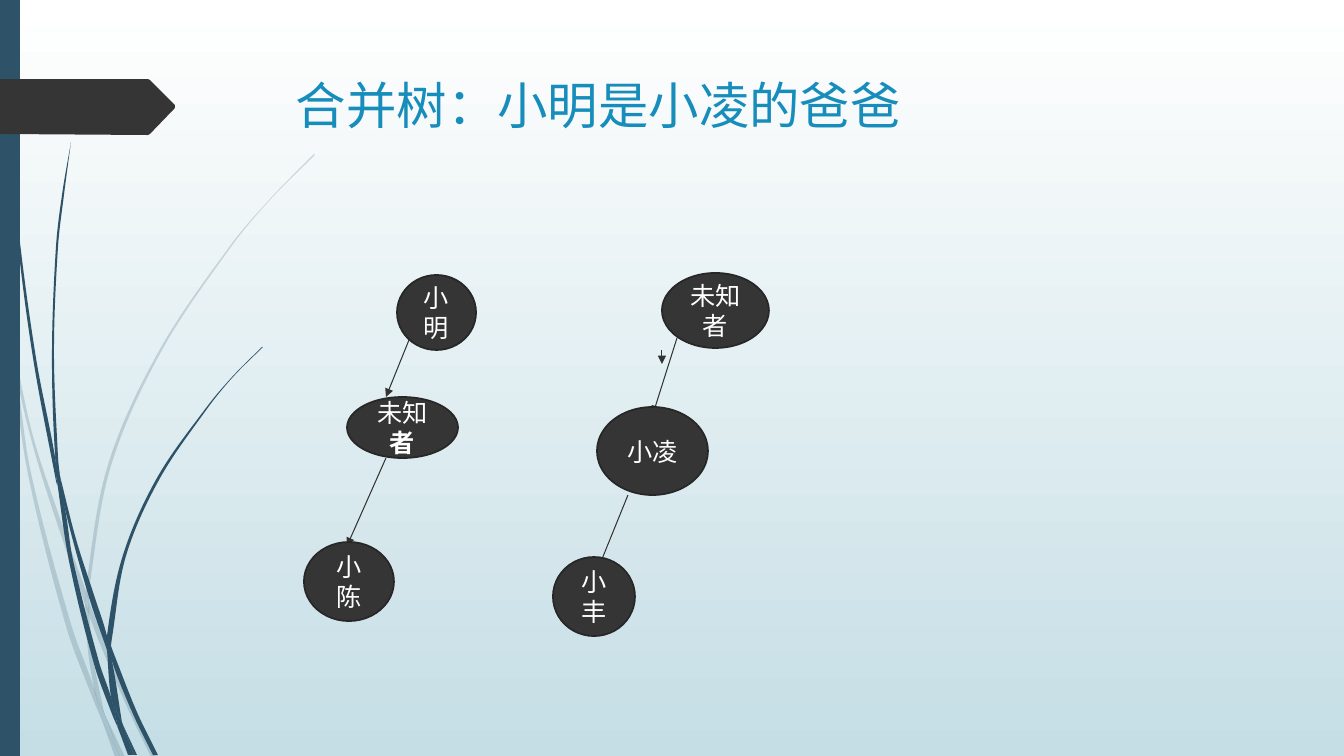
from math import hypot

from lxml.etree import SubElement
from pptx import Presentation
from pptx.dml.color import RGBColor
from pptx.enum.shapes import MSO_CONNECTOR, MSO_SHAPE
from pptx.enum.text import MSO_ANCHOR, PP_ALIGN
from pptx.oxml.ns import qn
from pptx.util import Emu, Pt

SLIDE_WIDTH, SLIDE_HEIGHT = 1344, 756
EMU_PER_PX = 12192000 / SLIDE_WIDTH
FONT = "League Spartan"
COLORS = {
    "sky": "FFFFFF",
    "mist": "C5DEE5",
    "grass": "2E5369",
    "node": "353535",
    "outline": "272727",
    "arrow": "333333",
    "title": "178DBB",
    "label": "FFFFFF",
}

# Each blade has a left and a right edge, both listed from top to bottom.
PALE_BLADES = [
    ([(0, 301), (10, 347), (11, 353)], [(0, 284), (9, 325), (11, 353)]),
    ([(14, 348), (17, 379), (35, 453), (58, 526), (85, 604)],
     [(14, 348), (33, 436), (62, 524), (86, 591)]),
    ([(89, 601), (89, 615), (124, 700), (151, 757)],
     [(89, 601), (93, 612), (128, 698), (156, 757)]),
    ([(106, 717), (120, 757)], [(106, 717), (125, 757)]),
    ([(11, 353), (28, 474), (66, 626), (93, 699), (102, 720)],
     [(11, 353), (17, 379), (31, 473), (71, 624), (94, 688), (100, 713), (102, 720)]),
    ([(85, 604), (88, 651), (94, 688), (97, 698), (106, 717)],
     [(85, 604), (89, 613), (92, 651), (104, 712), (106, 717)]),
    ([(314, 154), (270, 199), (230, 246), (159, 351), (108, 465), (86, 589), (89, 601)],
     [(315, 155), (270, 200), (231, 247), (161, 352), (111, 466), (89, 589), (89, 601)]),
    ([(102, 720), (115, 757)], [(102, 720), (120, 757)]),
    ([(86, 591), (85, 604), (89, 613)], [(86, 591), (89, 601), (89, 615)]),
    ([(94, 688), (100, 713), (102, 720), (120, 757)],
     [(94, 688), (97, 698), (106, 717), (120, 757)]),
]
DARK_BLADES = [
    ([(3, 0), (4, 48), (7, 111), (17, 235), (33, 358), (56, 481), (57, 485)],
     [(4, 0), (5, 48), (8, 110), (19, 234), (36, 358), (55, 457), (57, 485)]),
    ([(60, 476), (65, 509), (89, 597), (107, 650)],
     [(60, 476), (76, 539), (94, 595), (107, 636), (107, 650)]),
    ([(111, 646), (112, 661), (133, 714), (153, 755)],
     [(111, 646), (114, 654), (137, 712), (158, 755)]),
    ([(57, 481), (69, 561), (94, 664), (112, 714), (118, 728)],
     [(57, 481), (65, 509), (73, 560), (99, 662), (111, 697), (117, 723), (118, 728)]),
    ([(71, 142), (62, 195), (56, 247), (52, 352), (55, 453), (60, 476)],
     [(71, 142), (64, 195), (58, 247), (54, 352), (58, 457), (60, 476)]),
    ([(123, 725), (134, 755)], [(123, 725), (137, 755)]),
    ([(55, 453), (57, 481), (65, 509)], [(55, 453), (60, 476), (65, 509)]),
    ([(262, 347), (233, 376), (206, 408), (157, 478), (123, 555), (107, 636), (111, 646)],
     [(263, 347), (233, 377), (207, 409), (159, 480), (126, 556), (112, 638), (111, 646)]),
    ([(118, 728), (128, 755)], [(118, 728), (132, 755)]),
    ([(107, 650), (111, 697), (117, 712), (123, 725)],
     [(107, 650), (112, 661), (122, 722), (123, 725)]),
    ([(107, 636), (107, 650), (112, 661)], [(107, 636), (111, 646), (112, 661)]),
    ([(111, 697), (117, 723), (118, 728), (131, 755)],
     [(111, 697), (117, 712), (123, 725), (134, 755)]),
]
TITLE_TAG = [(0, 79), (148, 79), (150, 80), (175, 105), (175, 108),
             (150, 134), (148, 135), (0, 134)]


def px(length):
    return Emu(round(length * EMU_PER_PX))


def color(name):
    return RGBColor.from_string(COLORS[name])


def paint(shape, fill, line=None, alpha=None):
    shape.shadow.inherit = False
    shape.fill.solid()
    shape.fill.fore_color.rgb = color(fill)
    if alpha is not None:
        fill_color = shape.fill._xPr.find(qn("a:solidFill"))[0]
        SubElement(fill_color, qn("a:alpha"), val=str(alpha * 1000))
    if line:
        shape.line.color.rgb = color(line)
        shape.line.width = Pt(1.25)
    else:
        shape.line.fill.background()


def style_run(run, size, color_name, bold=False):
    run.font.name = FONT
    run.font.size = Pt(size)
    run.font.bold = bold
    run.font.color.rgb = color(color_name)


def handle(point, before, after, reach):
    across, down = after[0] - before[0], after[1] - before[1]
    share = reach / (3 * hypot(across, down))
    return point[0] + across * share, point[1] + down * share


def edge_handles(edge):
    padded = [edge[0], *edge, edge[-1]]
    handles = []
    for before, start, end, after in zip(padded, padded[1:], padded[2:], padded[3:]):
        reach = hypot(end[0] - start[0], end[1] - start[1])
        handles.append((handle(start, before, end, reach), handle(end, after, start, reach)))
    return handles


def add_outline(shapes, points, fill, alpha=None):
    corners = [(px(x), px(y)) for x, y in points]
    builder = shapes.build_freeform(*corners[0], scale=1.0)
    builder.add_line_segments(corners[1:], close=True)
    outline = builder.convert_to_shape()
    paint(outline, fill, alpha=alpha)
    return outline


def add_blade(shapes, left_edge, right_edge, alpha):
    way_back = right_edge[::-1]
    blade = add_outline(shapes, left_edge + way_back, "grass", alpha)
    left = px(min(x for x, y in left_edge + way_back))
    top = px(min(y for x, y in left_edge + way_back))
    handles = edge_handles(left_edge) + [None] + edge_handles(way_back)
    segments = list(blade._element.iter(qn("a:lnTo")))
    for segment, pair in zip(segments, handles):
        if pair:
            segment.tag = qn("a:cubicBezTo")
            end = segment[0]
            for x, y in pair:
                point = SubElement(segment, qn("a:pt"), x=str(px(x) - left), y=str(px(y) - top))
                end.addprevious(point)


def add_title(slide, text):
    box = slide.shapes.add_textbox(px(286), px(69), px(983), px(141))
    box.text_frame.word_wrap = True
    box.text_frame.text = text
    style_run(box.text_frame.paragraphs[0].runs[0], 36, "title")


def add_person(slide, left, top, width, height, name, bold_ending=""):
    shape = slide.shapes.add_shape(
        MSO_SHAPE.FLOWCHART_CONNECTOR, px(left), px(top), px(width), px(height))
    paint(shape, "node", "outline")
    shape.text_frame.word_wrap = True
    shape.text_frame.vertical_anchor = MSO_ANCHOR.MIDDLE
    paragraph = shape.text_frame.paragraphs[0]
    paragraph.text = name
    paragraph.alignment = PP_ALIGN.CENTER
    style_run(paragraph.runs[0], 18, "label")
    if bold_ending:
        run = paragraph.add_run()
        run.text = bold_ending
        style_run(run, 18, "label", bold=True)


def add_arrow(slide, start_x, start_y, end_x, end_y):
    connector = slide.shapes.add_connector(
        MSO_CONNECTOR.STRAIGHT, px(start_x), px(start_y), px(end_x), px(end_y))
    connector.line.color.rgb = color("arrow")
    connector.line.width = Pt(0.75)
    SubElement(connector.line._get_or_add_ln(), qn("a:tailEnd"), type="triangle")
    SubElement(connector._element.spPr, qn("a:effectLst"))


def add_background(slide):
    fill = slide.background.fill
    fill.gradient()
    fill.gradient_angle = 270
    for stop, name in zip(fill.gradient_stops, ("sky", "mist")):
        stop.color.rgb = color(name)


def add_decoration(slide):
    for blades, alpha in ((PALE_BLADES, 20), (DARK_BLADES, None)):
        group = slide.shapes.add_group_shape()
        for left_edge, right_edge in blades:
            add_blade(group.shapes, left_edge, right_edge, alpha)
    sidebar = slide.shapes.add_shape(MSO_SHAPE.RECTANGLE, 0, 0, px(20), px(SLIDE_HEIGHT))
    paint(sidebar, "grass")
    add_outline(slide.shapes, TITLE_TAG, "node")


def main():
    presentation = Presentation()
    presentation.slide_width, presentation.slide_height = px(SLIDE_WIDTH), px(SLIDE_HEIGHT)
    slide = presentation.slides.add_slide(presentation.slide_layouts[6])
    add_background(slide)
    add_decoration(slide)
    add_title(slide, "合并树：小明是小凌的爸爸")
    add_person(slide, 397, 275, 79, 75, "小明")
    add_arrow(slide, 409, 340, 386, 397)
    add_person(slide, 347, 397, 111, 61, "未知", "者")
    add_arrow(slide, 386, 458, 347, 546)
    add_person(slide, 304, 542, 90, 79, "小陈")
    add_person(slide, 662, 273, 107, 75, "未知者")
    add_arrow(slide, 662, 350, 662, 364)
    add_arrow(slide, 677, 338, 653, 414)
    add_person(slide, 597, 407, 111, 88, "小凌")
    add_arrow(slide, 628, 495, 598, 569)
    add_person(slide, 553, 557, 82, 79, "小丰")
    presentation.save("out.pptx")


if __name__ == "__main__":
    main()
